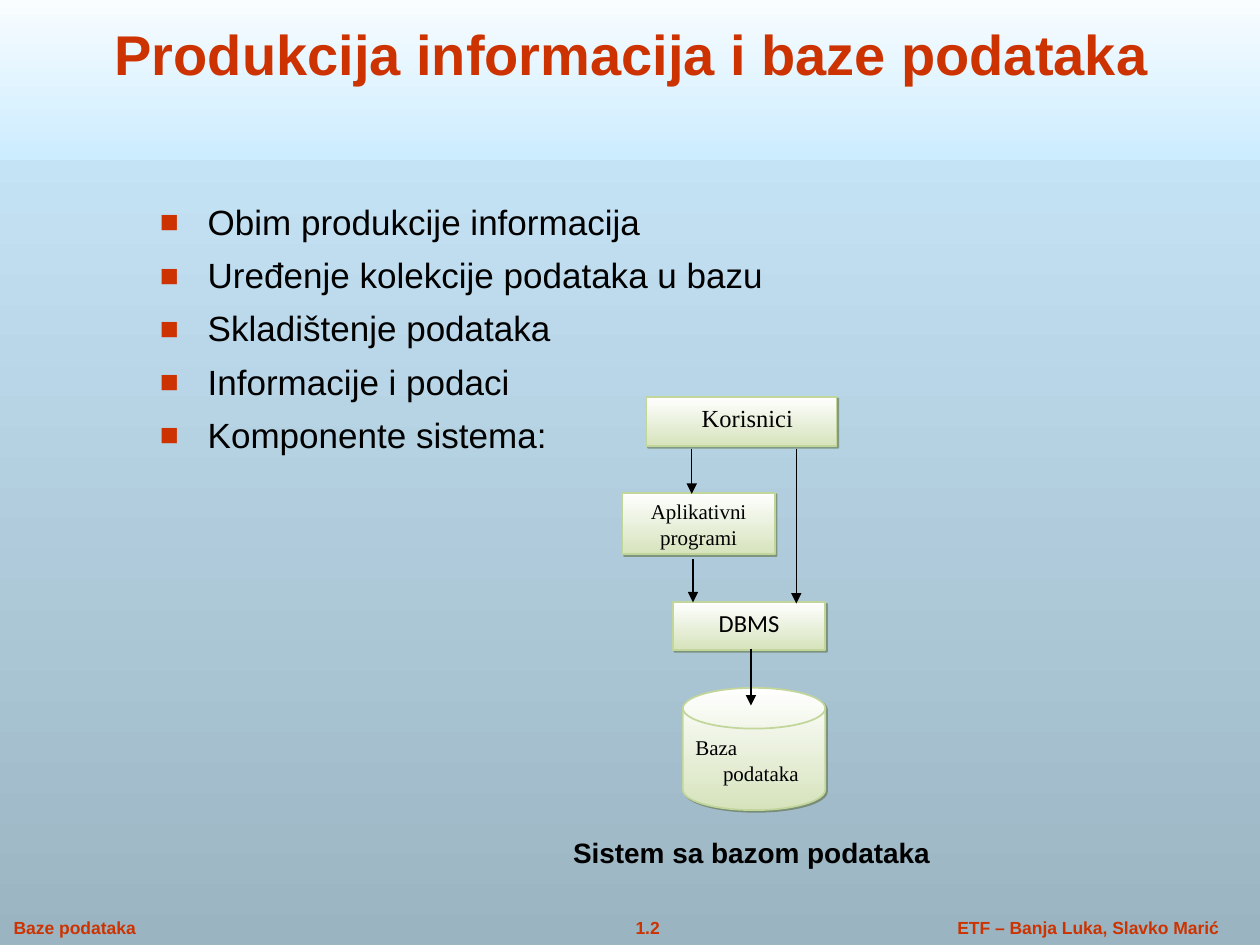
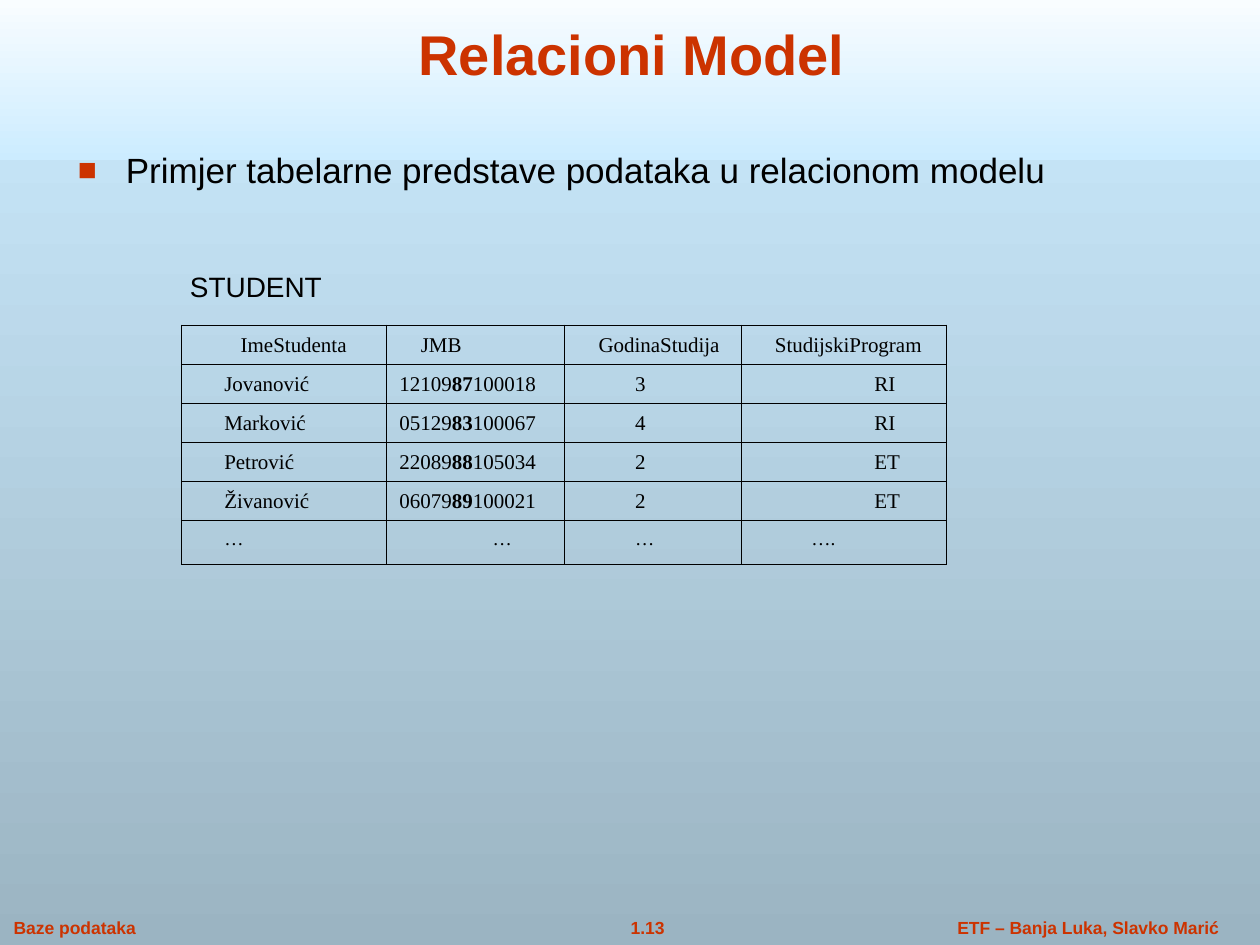
"""Build two lecture slides on databases: system components and a relational table."""
from pptx import Presentation
from pptx.dml.color import RGBColor
from pptx.enum.shapes import MSO_CONNECTOR, MSO_SHAPE
from pptx.enum.text import MSO_ANCHOR, MSO_AUTO_SIZE, PP_ALIGN
from pptx.oxml import parse_xml
from pptx.oxml.ns import nsdecls, qn
from pptx.util import Inches, Pt

COLORS = {
    "accent": "CC3300", "text": "000000", "white": "FFFFFF",
    "sky": "CCECFF", "slate": "9BB4C2",
    "leaf": "D6E3BC", "leaf_edge": "C2D69B", "leaf_shadow": "4E6128",
}
SANS, SERIF, DIAGRAM_SANS = "Arial", "Times New Roman", "Calibri"

# Lengths are cells of a grid with 100 columns and 75 rows.
COLUMNS, ROWS = 100, 75
BAND = (0, -1.7, 100, 14.4)
TITLE = (6, 0.7, 88.3, 6.7)
FOOTER_TOP, FOOTER_HEIGHT = 72.3, 2.7
COURSE, AUTHOR = "Baze podataka", "ETF – Banja Luka, Slavko Marić"

SYSTEM = {
    "title": "Produkcija informacija i baze podataka",
    "number": "1.2",
    "bullets": [
        "Obim produkcije informacija",
        "Uređenje kolekcije podataka u bazu",
        "Skladištenje podataka",
        "Informacije i podaci",
        "Komponente sistema:",
    ],
    "bullets_at": (11.7, 15.8, 78.1, 54),
    "line_spacing": 0.9,
}
COMPONENTS = [
    ("Korisnici", MSO_SHAPE.RECTANGLE, (51.3, 31.5, 15.1, 3.9),
     dict(size=14, font=SERIF, margin=3.4)),
    ("DBMS", MSO_SHAPE.RECTANGLE, (53.4, 47.8, 12.1, 3.8),
     dict(size=14, font=DIAGRAM_SANS, align=PP_ALIGN.CENTER)),
    ("Aplikativni programi", MSO_SHAPE.RECTANGLE, (49.4, 39.1, 12.1, 4.9),
     dict(size=12, font=SERIF, align=PP_ALIGN.CENTER)),
    ("Baza podataka", MSO_SHAPE.FLOWCHART_MAGNETIC_DISK, (54.2, 54.6, 11.3, 9.7),
     dict(size=12, font=SERIF, margin=2.2, first_line=-2.2)),
]
ARROWS = [(55, 44.4, 47.8), (54.9, 35.6, 39.2), (63.2, 35.6, 47.9), (59.6, 51.5, 56)]
CAPTION, CAPTION_AT = "Sistem sa bazom podataka", (44.5, 65.8, 31, 3.7)

RELATIONAL = {
    "title": "Relacioni Model",
    "number": "1.13",
    "bullets": ["Primjer tabelarne predstave podataka u relacionom modelu"],
    "bullets_at": (5.2, 11.3, 85.8, 7.4),
    "line_spacing": 1.0,
}
RELATION, RELATION_AT = "STUDENT", (14.1, 20.9, 14, 3.7)
STUDENTS = [
    ("ImeStudenta", "JMB", "GodinaStudija", "StudijskiProgram"),
    ("Jovanović", ("12109", "87", "100018"), "3", "RI"),
    ("Marković", ("05129", "83", "100067"), "4", "RI"),
    ("Petrović", ("22089", "88", "105034"), "2", "ET"),
    ("Živanović", ("06079", "89", "100021"), "2", "ET"),
    ("…", "…", "…", "…."),
]
STUDENTS_AT = (14.4, 25.8)
STUDENT_COLUMNS = (16.3, 14.1, 14, 16.3)
STUDENT_ROWS = (2.9,) * 5 + (3.5,)
HEADER_MARGINS = (3.9, 1.9, 1.9, 1.9)
ROW_MARGINS = (2.6, 0.2, 4.8, 9.8)
LAST_MARGINS = (2.6, 7.6, 4.8, 4.8)


def cells(count):
    return Inches(count * 10 / COLUMNS)


def place(box):
    return [cells(value) for value in box]


def color(name):
    return RGBColor.from_string(COLORS[name])


def fade(fill, top, bottom):
    fill.gradient()
    fill.gradient_angle = 270
    for stop, name, position in zip(fill.gradient_stops, (top, bottom), (0, 1)):
        stop.color.rgb = color(name)
        stop.position = position


def add_bullet(properties):
    for tag, content in (
        ("buClr", f'><a:srgbClr val="{COLORS["accent"]}"/></a:buClr>'),
        ("buSzPct", ' val="90000"/>'),
        ("buFont", f' typeface="{SANS}"/>'),
        ("buChar", ' char="■"/>'),
    ):
        properties.append(parse_xml(f'<a:{tag} {nsdecls("a")}{content}'))


def write(frame, text, size=12, font=SANS, ink="text", bold=False, align=PP_ALIGN.LEFT,
          margin=0, first_line=0, spacing=1.0, gap=0, bullet=False, wrap=True):
    """Fill a frame; a list holds paragraphs, a tuple holds runs with every second one bold."""
    frame.word_wrap = wrap
    for index, content in enumerate(text if isinstance(text, list) else [text]):
        paragraph = frame.add_paragraph() if index else frame.paragraphs[0]
        paragraph.alignment = align
        paragraph.line_spacing = spacing
        paragraph.space_before = Pt(gap if index else 0)
        properties = paragraph._p.get_or_add_pPr()
        properties.set("marL", str(cells(margin)))
        properties.set("indent", str(cells(first_line)))
        if bullet:
            add_bullet(properties)
        for order, part in enumerate(content if isinstance(content, tuple) else (content,)):
            run = paragraph.add_run()
            run.text = part
            run.font.size = Pt(size)
            run.font.name = font
            run.font.bold = bold or order % 2 == 1
            run.font.color.rgb = color(ink)


def add_label(slide, text, box, **style):
    write(slide.shapes.add_textbox(*place(box)).text_frame, text, **style)


def add_slide(deck, content):
    slide = deck.slides.add_slide(deck.slide_layouts[5])
    title = slide.shapes.title
    title.left, title.top, title.width, title.height = place(TITLE)
    title.text_frame.vertical_anchor = MSO_ANCHOR.BOTTOM
    title.text_frame.auto_size = MSO_AUTO_SIZE.NONE
    write(title.text_frame, content["title"], size=32, ink="accent", bold=True,
          align=PP_ALIGN.CENTER)

    band = slide.shapes.add_shape(MSO_SHAPE.RECTANGLE, *place(BAND))
    band.shadow.inherit = False
    band.line.fill.background()
    fade(band.fill, "white", "sky")
    title.element.addprevious(band.element)

    for text, left, width, align in (
        (AUTHOR, 74.4, 23.9, PP_ALIGN.CENTER),
        (content["number"], 46.5, 9.8, PP_ALIGN.CENTER),
        (COURSE, 0.1, 12.5, PP_ALIGN.LEFT),
    ):
        add_label(slide, text, (left, FOOTER_TOP, width, FOOTER_HEIGHT), size=10,
                  ink="accent", bold=True, align=align, wrap=False)
    add_label(slide, content["bullets"], content["bullets_at"], size=20, margin=3.8,
              first_line=-3.8, spacing=content["line_spacing"], gap=8.8, bullet=True)
    return slide


def add_component(slide, text, kind, box, style):
    component = slide.shapes.add_shape(kind, *place(box))
    fade(component.fill, "white", "leaf")
    component.line.color.rgb = color("leaf_edge")
    component.line.width = Pt(1)
    component.shadow.inherit = False
    component.element.spPr.find(qn("a:effectLst")).append(parse_xml(
        f'<a:outerShdw {nsdecls("a")} blurRad="0" dist="{Pt(1.4)}" dir="2700000" algn="tl" '
        f'rotWithShape="0"><a:srgbClr val="{COLORS["leaf_shadow"]}">'
        '<a:alpha val="50000"/></a:srgbClr></a:outerShdw>'))
    component.text_frame.vertical_anchor = MSO_ANCHOR.TOP
    write(component.text_frame, text, **style)


def add_arrow(slide, x, top, bottom):
    arrow = slide.shapes.add_connector(MSO_CONNECTOR.STRAIGHT, *place((x, top, x, bottom)))
    arrow.line.color.rgb = color("text")
    arrow.line.width = Pt(0.75)
    properties = arrow.element.spPr
    properties.find(qn("a:ln")).append(
        parse_xml(f'<a:tailEnd {nsdecls("a")} type="triangle"/>'))
    properties.append(parse_xml(f'<a:effectLst {nsdecls("a")}/>'))


def add_borders(cell):
    for index, side in enumerate("LRTB"):
        cell._tc.get_or_add_tcPr().insert(index, parse_xml(
            f'<a:ln{side} {nsdecls("a")} w="{Pt(0.45)}"><a:solidFill>'
            f'<a:srgbClr val="{COLORS["text"]}"/></a:solidFill></a:ln{side}>'))


def add_students(slide):
    size = (sum(STUDENT_COLUMNS), sum(STUDENT_ROWS))
    students = slide.shapes.add_table(
        len(STUDENTS), len(STUDENT_COLUMNS), *place(STUDENTS_AT + size)).table
    students.first_row = students.horz_banding = False
    for column, width in zip(students.columns, STUDENT_COLUMNS):
        column.width = cells(width)
    margins = [HEADER_MARGINS] + [ROW_MARGINS] * (len(STUDENTS) - 2) + [LAST_MARGINS]
    for index, (row, height) in enumerate(zip(students.rows, STUDENT_ROWS)):
        row.height = cells(height)
        font_size = 11 if index == len(STUDENTS) - 1 else 12
        for cell, text, margin in zip(row.cells, STUDENTS[index], margins[index]):
            cell.margin_left = cell.margin_right = cells(0.8)
            cell.margin_top = cell.margin_bottom = cells(0.4)
            cell.fill.background()
            add_borders(cell)
            write(cell.text_frame, text, size=font_size, font=SERIF, margin=margin,
                  spacing=1.15)


def main():
    deck = Presentation()
    deck.slide_width, deck.slide_height = place((COLUMNS, ROWS))
    fade(deck.slide_master.background.fill, "sky", "slate")

    system = add_slide(deck, SYSTEM)
    for component in COMPONENTS:
        add_component(system, *component)
    for arrow in ARROWS:
        add_arrow(system, *arrow)
    add_label(system, CAPTION, CAPTION_AT, size=16, bold=True, wrap=False)

    relational = add_slide(deck, RELATIONAL)
    add_students(relational)
    add_label(relational, RELATION, RELATION_AT, size=16, wrap=False)

    deck.save("out.pptx")


if __name__ == "__main__":
    main()
